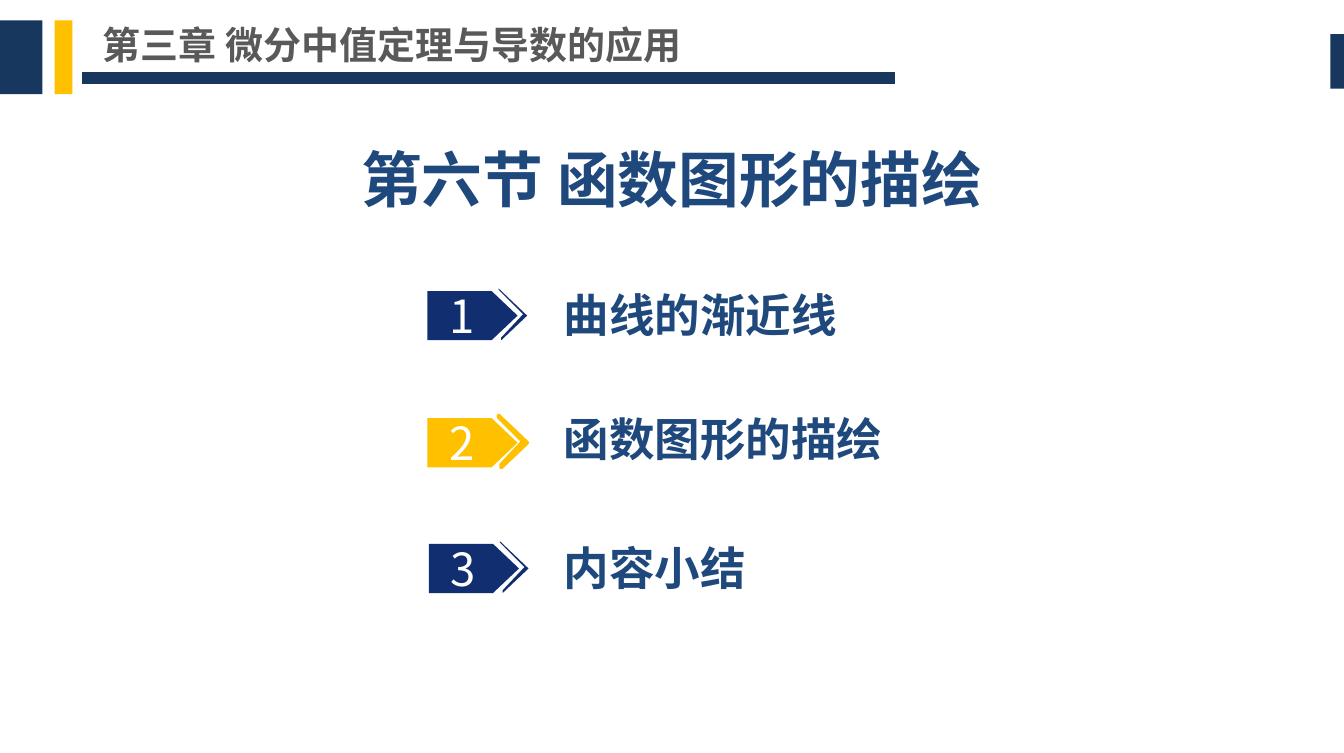
from lxml import etree
from pptx import Presentation, util as u
from pptx.dml.color import RGBColor
from pptx.enum import shapes, text
from pptx.oxml.ns import qn

WIDE, HIGH = 9.84, 5.51
FONT = "Noto Sans CJK SC"
HUE = {"bar": "17375E", "gold": "FFC000", "grey": "595959",
       "blue": "1F497D", "navy": "112F70", "white": "FFFFFF"}
TAG = [(0, 0), (0.47, 0), (0.66, 0.18), (0.47, 0.36), (0, 0.36)]
EDGE = [(0.52, -0.02), (0.73, 0.18), (0.54, 0.36), (0.54, 0.34),
        (0.7, 0.17), (0.52, -0.01)]


def rgb(name):
    return RGBColor.from_string(HUE[name])


def paint(shape, fill, line=None):
    shape.shadow.inherit = False
    shape.fill.solid()
    shape.fill.fore_color.rgb = rgb(fill)
    if line:
        shape.line.color.rgb = rgb(line)
        shape.line.width = u.Pt(2)
    else:
        shape.line.fill.background()


def rect(slide, box, fill):
    kind = shapes.MSO_SHAPE.RECTANGLE
    paint(slide.shapes.add_shape(kind, *map(u.Inches, box)), fill)


def outline(slide, left, top, dots, fill, line=None):
    """Draw a closed shape from dots given relative to left and top."""
    first, *rest = [(u.Inches(left + x), u.Inches(top + y)) for x, y in dots]
    pen = slide.shapes.build_freeform(*first)
    pen.add_line_segments(rest, close=True)
    paint(pen.convert_to_shape(), fill, line)


def write(slide, box, words, size, hue, bold=True, wrap=True):
    frame = slide.shapes.add_textbox(*map(u.Inches, box)).text_frame
    frame.word_wrap = wrap
    para = frame.paragraphs[0]
    run = para.add_run()
    run.text = words
    font = run.font
    font.size, font.bold, font.name = u.Pt(size), bold, FONT
    font.color.rgb = rgb(hue)
    props = run._r.get_or_add_rPr()
    etree.SubElement(props, qn("a:ea")).set("typeface", FONT)
    return frame


def header(slide, left, top, wide):
    rect(slide, (left - 0.01, top, 0.32, 0.54), "bar")
    rect(slide, (left + 0.4, top, 0.13, 0.54), "gold")
    rect(slide, (left + wide - 0.1, top + 0.1, 0.15, 0.4), "bar")
    y = u.Inches(top + 0.42)
    rule = slide.shapes.add_connector(
        shapes.MSO_CONNECTOR.STRAIGHT,
        u.Inches(left + 6.55), y, u.Inches(left + 0.6), y)
    rule.line.color.rgb = rgb("bar")
    rule.line.width = u.Pt(6)
    etree.SubElement(rule._element.spPr, qn("a:effectLst"))
    frame = write(slide, (left + 0.75, top + 0.01, 6.25, 0.33),
                  "第三章 微分中值定理与导数的应用", 20, "grey")
    frame.margin_left = frame.margin_right = 0
    frame.margin_top = frame.margin_bottom = 0
    frame.vertical_anchor = text.MSO_ANCHOR.MIDDLE


def title(slide, box):
    frame = write(slide, box, "第六节 函数图形的描绘", 32, "blue")
    frame.paragraphs[0].alignment = text.PP_ALIGN.CENTER


def entry(slide, left, top, mark, words, wide, lift, fill, line=None):
    """Place a numbered tag at left, top with its label lifted beside it."""
    write(slide, (4.03, top - lift, wide, 0.5), words, 24, "blue", wrap=False)
    outline(slide, left, top, EDGE, "navy", line)
    outline(slide, left, top, TAG, fill)
    write(slide, (left + 0.06, top - 0.07, 0.57, 0.5), mark, 24, "white",
          bold=False)


def main():
    deck = Presentation()
    deck.slide_width, deck.slide_height = u.Inches(WIDE), u.Inches(HIGH)
    slide = deck.slides.add_slide(deck.slide_layouts[6])
    header(slide, 0, 0.15, WIDE)
    title(slide, (1.06, 0.99, 7.72, 0.71))
    entry(slide, 3.13, 2.13, "1", "曲线的渐近线", 2.2, 0.08, "navy")
    entry(slide, 3.13, 3.06, "2", "函数图形的描绘", 2.53, 0.1, "gold", "gold")
    entry(slide, 3.14, 3.98, "3", "内容小结", 1.53, 0.08, "navy")
    deck.save("out.pptx")


if __name__ == "__main__":
    main()
